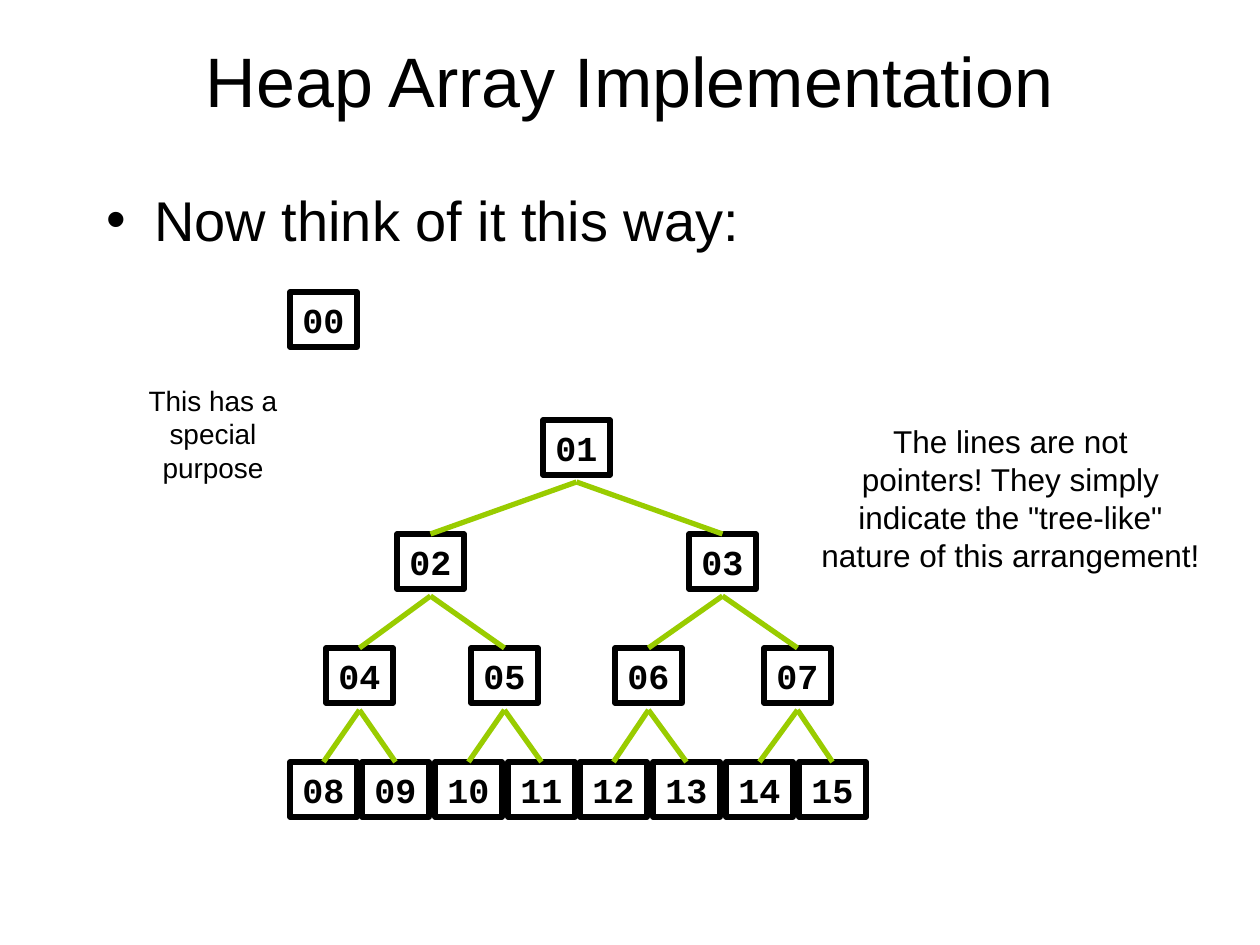
from dataclasses import dataclass

from lxml import etree
from pptx import Presentation
from pptx import util as u
from pptx.dml.color import RGBColor
from pptx.enum import shapes, text
from pptx.oxml.ns import qn

PX = u.Inches(1) // 126
NODE_WIDTH, NODE_HEIGHT = 67, 55
ROOT_TOP, ROW_PITCH = 420, 114
EDGE_GAP = 7
LEAVES_LEFT, LEAVES_SPAN = 290, 509


@dataclass(frozen=True)
class Theme:
    ink: RGBColor = RGBColor(0x00, 0x00, 0x00)
    edge: RGBColor = RGBColor(0x99, 0xCC, 0x00)
    body_font: str = "Arial"
    node_font: str = "Courier New"
    title_size: int = 40
    bullet_size: int = 32
    node_size: int = 20
    remark_size: int = 18
    note_size: int = 16
    line_width: int = 3


THEME = Theme()


def set_attributes(target, values):
    for name, value in values.items():
        setattr(target, name, value)


def px(*lengths):
    return [u.Emu(length * PX) for length in lengths]


def write(shape, lines, size, font=THEME.body_font, bold=False,
          align=text.PP_ALIGN.CENTER, **frame_format):
    """Put one paragraph per line into the shape."""
    frame = shape.text_frame
    set_attributes(frame, {
        "word_wrap": False,
        "auto_size": text.MSO_AUTO_SIZE.SHAPE_TO_FIT_TEXT,
        "vertical_anchor": text.MSO_ANCHOR.TOP,
        **frame_format,
    })
    frame.text = "\n".join(lines)
    for paragraph in frame.paragraphs:
        paragraph.alignment = align
        run_font = paragraph.runs[0].font
        set_attributes(run_font, {"name": font, "size": u.Pt(size), "bold": bold})
        run_font.color.rgb = THEME.ink


def add_text(slide, box, lines, size, **options):
    shape = slide.shapes.add_textbox(*px(*box))
    write(shape, lines, size, **options)
    return shape


def add_bullet(slide, box, line):
    shape = add_text(slide, box, [line], THEME.bullet_size,
                     align=text.PP_ALIGN.LEFT, word_wrap=True,
                     auto_size=text.MSO_AUTO_SIZE.NONE)
    paragraph = shape.text_frame.paragraphs[0]
    paragraph.space_before = u.Pt(8)
    properties = paragraph._p.get_or_add_pPr()
    indent = u.Inches(0.38)
    properties.set("marL", str(indent))
    properties.set("indent", str(-indent))
    etree.SubElement(properties, qn("a:buFont")).set("typeface", THEME.body_font)
    etree.SubElement(properties, qn("a:buChar")).set("char", "•")


def add_node(slide, left, top, index):
    node = slide.shapes.add_shape(shapes.MSO_SHAPE.RECTANGLE,
                                  *px(left, top, NODE_WIDTH, NODE_HEIGHT))
    node.shadow.inherit = False
    node.fill.background()
    node.line.color.rgb = THEME.ink
    node.line.width = u.Pt(THEME.line_width)
    write(node, [f"{index:02d}"], THEME.node_size, font=THEME.node_font,
          bold=True, align=text.PP_ALIGN.LEFT)
    return node


def add_edge(slide, parent, child):
    """Draw from just below the parent to the top of the child."""
    start_x = parent.left + parent.width // 2
    start_y = parent.top + parent.height + EDGE_GAP * PX
    edge = slide.shapes.add_connector(shapes.MSO_CONNECTOR.STRAIGHT,
                                      start_x, start_y, child.left, child.top)
    edge.end_connect(child, 0)
    edge.line.color.rgb = THEME.edge
    edge.line.width = u.Pt(THEME.line_width)
    etree.SubElement(edge._element.spPr, qn("a:effectLst"))


def add_heap(slide):
    """Number the nodes from 1, so that node i hangs below node i // 2."""
    leaves = [LEAVES_LEFT + i * LEAVES_SPAN // 7 for i in range(8)]
    levels = [[543], [397, 689], [326, 471, 615, 764], leaves]
    nodes = {}
    for depth, lefts in enumerate(levels):
        for index, left in enumerate(lefts, start=2 ** depth):
            nodes[index] = add_node(slide, left, ROOT_TOP + depth * ROW_PITCH, index)
    for index in range(2, len(nodes) + 1):
        add_edge(slide, nodes[index // 2], nodes[index])


def main():
    presentation = Presentation()
    set_attributes(presentation, {"slide_width": u.Inches(10),
                                  "slide_height": u.Inches(7.5)})
    slide = presentation.slides.add_slide(presentation.slide_layouts[6])
    add_text(slide, (94, 0, 1071, 158), ["Heap Array Implementation"],
             THEME.title_size, word_wrap=True,
             auto_size=text.MSO_AUTO_SIZE.NONE,
             vertical_anchor=text.MSO_ANCHOR.MIDDLE)
    add_bullet(slide, (94, 179, 1071, 83), "Now think of it this way:")
    add_node(slide, LEAVES_LEFT, 292, 0)
    add_heap(slide)
    add_text(slide, (103, 377, 220, 81), ["This has a", "special purpose"],
             THEME.note_size)
    add_text(slide, (809, 416, 403, 164),
             ["The lines are not", "pointers! They simply",
              'indicate the "tree-like"', "nature of this arrangement!"],
             THEME.remark_size)
    presentation.save("out.pptx")


if __name__ == "__main__":
    main()
